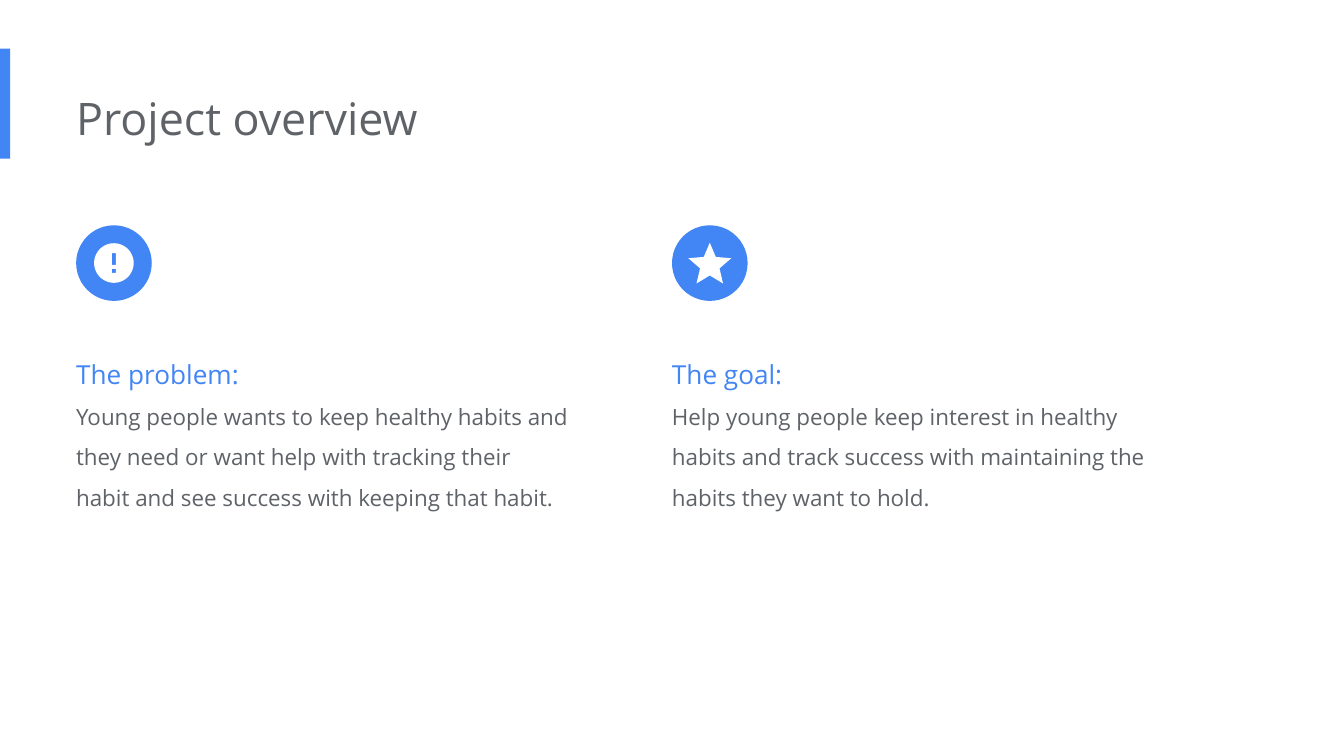
import math

import pptx
import pptx.dml.color
import pptx.enum.shapes
import pptx.enum.text
import pptx.util

Pt = pptx.util.Pt
SHAPES = pptx.enum.shapes.MSO_SHAPE
COLORS = {"blue": "4285F4", "gray": "5F6368", "white": "FFFFFF"}
FONT = "Open Sans"
ICON_SIZE = 40.5
STAR = [
    (12, 17.27), (18.18, 21), (16.54, 13.97), (22, 9.24), (14.81, 8.63),
    (12, 2), (9.19, 8.63), (2, 9.24), (7.46, 13.97), (5.82, 21),
]


def rgb(name):
    return pptx.dml.color.RGBColor.from_string(COLORS[name])


def paint(shape, color):
    shape.shadow.inherit = False
    shape.fill.solid()
    shape.fill.fore_color.rgb = rgb(color)
    shape.line.fill.background()


def add_preset(page, kind, left, top, width, height, color):
    shape = page.shapes.add_shape(kind, Pt(left), Pt(top), Pt(width), Pt(height))
    paint(shape, color)


def add_outline(page, contours, left, top, scale, color):
    placed = [
        [(Pt(left + x * scale), Pt(top + y * scale)) for x, y in contour]
        for contour in contours
    ]
    builder = page.shapes.build_freeform(*placed[0][0], scale=1.0)
    for index, contour in enumerate(placed):
        if index:
            builder.move_to(*contour[0])
        builder.add_line_segments(contour[1:], close=True)
    paint(builder.convert_to_shape(), color)


def add_text_box(page, left, top, width, height):
    frame = page.shapes.add_textbox(Pt(left), Pt(top), Pt(width), Pt(height)).text_frame
    frame.word_wrap = True
    frame.auto_size = pptx.enum.text.MSO_AUTO_SIZE.SHAPE_TO_FIT_TEXT
    frame.margin_left = 0
    frame.margin_right = frame.margin_top = frame.margin_bottom = Pt(7.2)
    return frame


def write(para, text, size, color, spacing=1.0):
    para.line_spacing = spacing
    span = para.add_run()
    span.text = text
    span.font.name = FONT
    span.font.size = Pt(size)
    span.font.color.rgb = rgb(color)


def rectangle(left, top, right, bottom):
    return [(left, top), (right, top), (right, bottom), (left, bottom)]


def circle(center, radius, steps=72):
    angles = [2 * math.pi * step / steps for step in range(steps)]
    return [(center + radius * math.cos(a), center + radius * math.sin(a)) for a in angles]


def draw_alert(page, left, top):
    scale = 1.06
    offset = ICON_SIZE / 2 - 12 * scale
    contours = [circle(12, 10), rectangle(11, 7, 13, 13), rectangle(11, 15, 13, 17)]
    add_outline(page, contours, left + offset, top + offset, scale, "white")


def draw_star(page, left, top):
    scale = 1.15
    middle = ICON_SIZE / 2
    add_outline(page, [STAR], left + middle - 12 * scale,
                top + middle - 11.5 * scale, scale, "white")


def draw_header(page, left, top, width, height, title):
    add_preset(page, SHAPES.RECTANGLE, left, top, 5.5, height, "blue")
    frame = add_text_box(page, left + 40.8, top + 15.2, width, 43.8)
    write(frame.paragraphs[0], title, 24, "gray")


def draw_column(page, left, top, width, heading, body, draw_symbol):
    add_preset(page, SHAPES.OVAL, left, top, ICON_SIZE, ICON_SIZE, "blue")
    draw_symbol(page, left, top)
    frame = add_text_box(page, left, top + 55.7, width, 98)
    write(frame.paragraphs[0], heading, 14, "blue", spacing=1.5)
    write(frame.add_paragraph(), body, 12, "gray", spacing=1.5)


def main():
    deck = pptx.Presentation()
    deck.slide_width, deck.slide_height = Pt(720), Pt(405)
    page = deck.slides.add_slide(deck.slide_layouts[6])
    draw_header(page, 0, 26, 484.6, 59, "Project overview")
    columns = [
        ("The problem:",
         "Young people wants to keep healthy habits and they need or want help "
         "with tracking their habit and see success with keeping that habit.",
         draw_alert),
        ("The goal:",
         "Help young people keep interest in healthy habits and track success "
         "with maintaining the habits they want to hold.",
         draw_star),
    ]
    for index, column in enumerate(columns):
        draw_column(page, 40.8 + index * 319.2, 120.7, 271.5, *column)
    deck.save("out.pptx")


if __name__ == "__main__":
    main()
